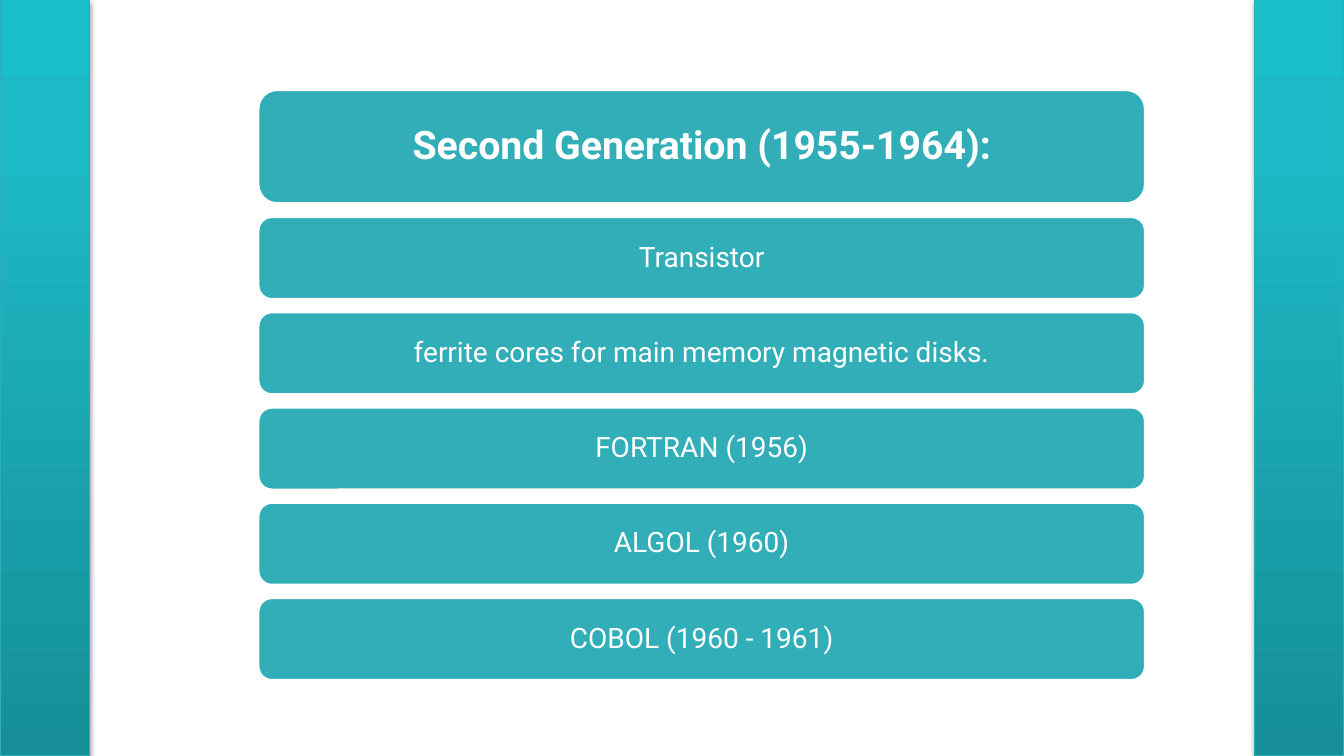
import copy
import lxml.etree
import pptx
import pptx.dml.color
import pptx.enum.shapes
import pptx.enum.text
import pptx.oxml
import pptx.util

Inches = pptx.util.Inches
Pt = pptx.util.Pt
RGBColor = pptx.dml.color.RGBColor
Kind = pptx.enum.shapes.MSO_SHAPE

# Content
HEAD = "Second Generation (1955-1964):"
ITEMS = [
    "Transistor",
    "ferrite cores for main memory magnetic disks.",
    "FORTRAN (1956)",
    "ALGOL (1960)",
    "COBOL (1960 - 1961)",
]

# Colours
WHITE = RGBColor(0xFF, 0xFF, 0xFF)
TEAL = RGBColor(0x32, 0xAE, 0xB8)
EDGE = RGBColor(0x2E, 0xAD, 0xB7)
FADE = [
    (0, RGBColor(0x16, 0x8F, 0x98)),
    (0.8, RGBColor(0x1D, 0xB9, 0xC6)),
    (1, RGBColor(0x1A, 0xBD, 0xCA)),
]

# Layout, in inches
WIDE, HIGH = 13.33, 7.5
LEFT, SPAN = 2.56, 8.8
HEAD_TOP, HEAD_TALL = 0.89, 1.13
FIRST, LAST, TALL = 2.15, 5.93, 0.82
BAND = 0.89

# Text formats
HEAD_FONT = {"name": "Roboto", "size": Pt(28), "bold": True}
ITEM_FONT = {"name": "Roboto", "size": Pt(20), "bold": False}

SHADE = """<a:outerShdw
 xmlns:a="http://schemas.openxmlformats.org/drawingml/2006/main"
 blurRad="40000" dist="23000" dir="5400000" rotWithShape="0">
<a:srgbClr val="000000"><a:alpha val="35000"/></a:srgbClr></a:outerShdw>"""


def add_box(slide, kind, left, top, width, height, edge, weight):
    box = slide.shapes.add_shape(
        kind, Inches(left), Inches(top), Inches(width), Inches(height))
    box.shadow.inherit = False
    box.line.color.rgb = edge
    box.line.width = Pt(weight)
    return box


def add_bar(slide, top, height):
    bar = add_box(slide, Kind.ROUNDED_RECTANGLE, LEFT, top, SPAN, height,
                  WHITE, 2)
    bar.fill.solid()
    bar.fill.fore_color.rgb = TEAL
    return bar


def set_text(shape, text, look, inset):
    frame = shape.text_frame
    frame.text = text
    form = {"word_wrap": True,
            "auto_size": pptx.enum.text.MSO_AUTO_SIZE.NONE,
            "vertical_anchor": pptx.enum.text.MSO_ANCHOR.MIDDLE}
    for side in ("left", "top", "right", "bottom"):
        form["margin_" + side] = Inches(inset)
    for key, value in form.items():
        setattr(frame, key, value)
    para = frame.paragraphs[0]
    para.alignment = pptx.enum.text.PP_ALIGN.CENTER
    para.line_spacing = 0.9
    font = para.runs[0].font
    font.color.rgb = WHITE
    for key, value in look.items():
        setattr(font, key, value)


def add_band(slide, left):
    band = add_box(slide, Kind.RECTANGLE, left, 0, BAND, HIGH, EDGE, 0.75)
    band.fill.gradient()
    band.fill.gradient_angle = 90
    # A third colour stop
    stops = band._element.spPr.find(".//" + pptx.oxml.ns.qn("a:gsLst"))
    stops.append(copy.deepcopy(stops[-1]))
    for stop, (place, color) in zip(band.fill.gradient_stops, FADE):
        stop.position = place
        stop.color.rgb = color
    # Soft shadow
    effect = band._element.spPr.find(pptx.oxml.ns.qn("a:effectLst"))
    effect.append(lxml.etree.fromstring(SHADE))


def main():
    deck = pptx.Presentation()
    deck.slide_width, deck.slide_height = Inches(WIDE), Inches(HIGH)
    slide = deck.slides.add_slide(deck.slide_layouts[5])

    # Heading bar, with the title in front of it
    add_bar(slide, HEAD_TOP, HEAD_TALL)
    title = slide.shapes.title
    place = {"left": LEFT + 0.05, "top": HEAD_TOP + 0.05,
             "width": SPAN - 0.1, "height": HEAD_TALL - 0.1}
    for key, value in place.items():
        setattr(title, key, Inches(value))
    set_text(title, HEAD, HEAD_FONT, 0.12)
    slide.shapes._spTree.append(title._element)

    # Item bars at equal steps
    step = (LAST - FIRST) / (len(ITEMS) - 1)
    for row, text in enumerate(ITEMS):
        bar = add_bar(slide, FIRST + row * step, TALL)
        set_text(bar, text, ITEM_FONT, 0.08)

    # Side bands
    for left in (0, WIDE - BAND):
        add_band(slide, left)

    deck.save("out.pptx")


if __name__ == "__main__":
    main()
